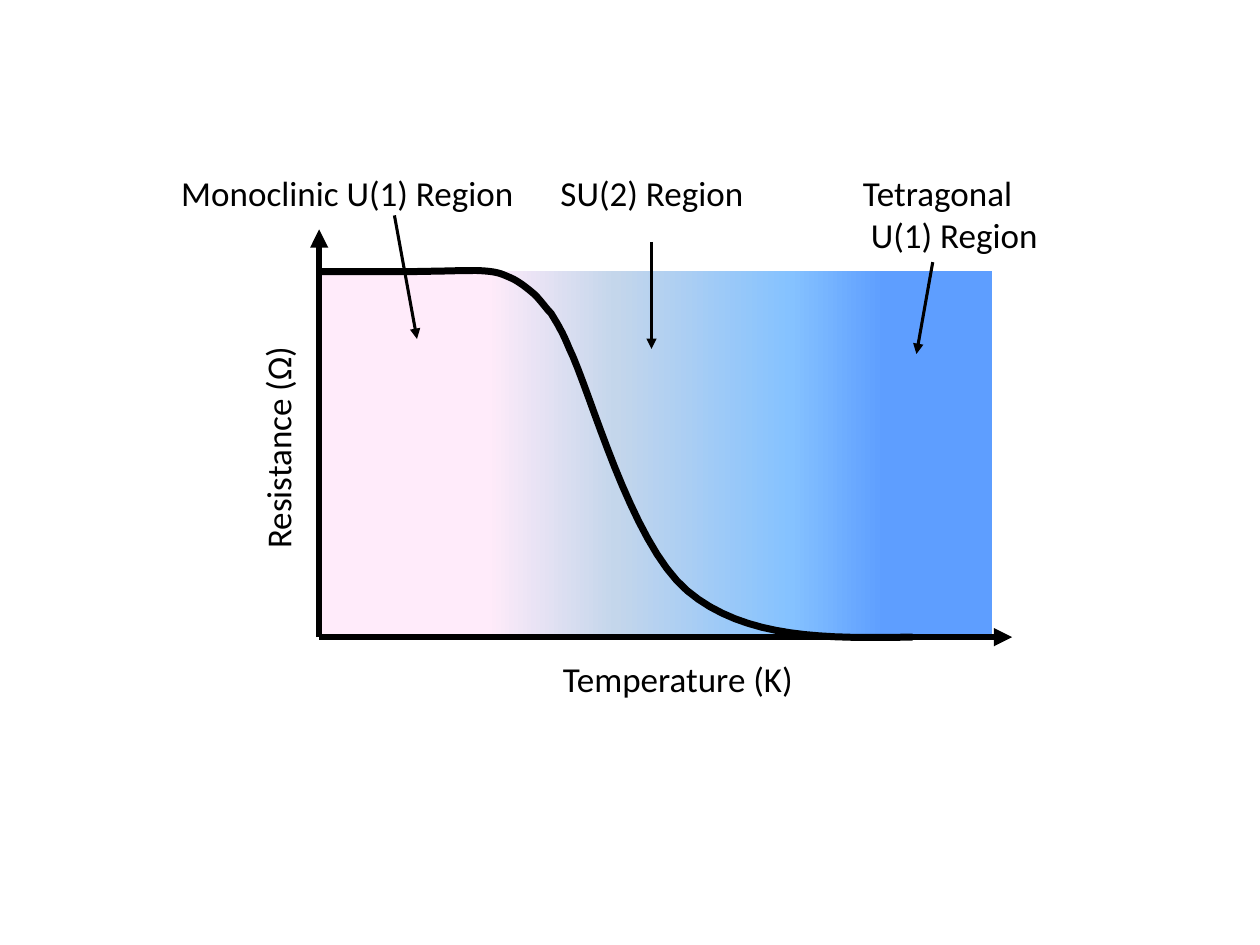
from lxml import etree
from pptx import Presentation
from pptx.dml.color import RGBColor
from pptx.enum.shapes import MSO_CONNECTOR, MSO_SHAPE
from pptx.enum.text import MSO_AUTO_SIZE
from pptx.oxml.ns import qn
from pptx.util import Pt

STRAIGHT = MSO_CONNECTOR.STRAIGHT
RECTANGLE = MSO_SHAPE.RECTANGLE
FIT_SHAPE = MSO_AUTO_SIZE.SHAPE_TO_FIT_TEXT

COLORS = {
    "ink": "000000",
    "monoclinic": "FFEBFA",
    "mixed": "C4D6EB",
    "sky": "85C2FF",
    "tetragonal": "5E9EFF",
}
STOPS = [(25, "monoclinic"), (44, "mixed"), (70, "sky"), (84, "tetragonal")]
FONT = {"name": "Calibri", "size": Pt(20)}
PLOT = (182.4, 154.6, 384.5, 209.5)
CURVE = [
    [(44.6, 0.7), (59, 0.7), (79.2, 0), (90, 0)],
    [(90, 0), (100.8, 0.5), (103, 1.4), (108, 3.6)],
    [(108, 3.6), (113.8, 5.8), (118.8, 10.1), (123.1, 13.7)],
    [(123.1, 13.7), (126.7, 17.3), (129.6, 21.6), (132.5, 24.5)],
    [(132.5, 24.5), (134.6, 28.1), (136.1, 30.2), (137.5, 33.1)],
    [(137.5, 33.1), (139.7, 36.7), (142.6, 43.9), (142.6, 43.9)],
    [(142.6, 43.9), (154.8, 68.4), (177.8, 155.5), (210.2, 182.9)],
    [(210.2, 182.9), (243.4, 211), (290.9, 210.2), (339.1, 209.5)],
]


def rgb(key):
    """Return the named colour."""
    return RGBColor.from_string(COLORS[key])


def set_line(sp, width):
    """Give a shape an ink line of the given width."""
    sp.line.color.rgb = rgb("ink")
    sp.line.width = Pt(width)


def add_arrow(s, start, end, width):
    """Draw a straight arrow from start to end."""
    sp = s.shapes.add_connector(STRAIGHT, *map(Pt, start + end))
    set_line(sp, width)
    etree.SubElement(sp.line._get_or_add_ln(), qn("a:tailEnd"), type="triangle")
    etree.SubElement(sp._element.spPr, qn("a:effectLst"))


def add_label(s, lines, x, y, w, h, rotation=0):
    """Place a text box with one paragraph per line."""
    sp = s.shapes.add_textbox(*map(Pt, (x, y, w, h)))
    sp.rotation = rotation
    tf = sp.text_frame
    tf.word_wrap = True
    tf.auto_size = FIT_SHAPE
    for i, line in enumerate(lines):
        p = tf.add_paragraph() if i else tf.paragraphs[0]
        r = p.add_run()
        r.text = line
        for name, value in FONT.items():
            setattr(r.font, name, value)
        r.font.color.rgb = rgb("ink")


def add_background(s, x, y, w, h):
    """Fill the plot box with the phase gradient."""
    sp = s.shapes.add_shape(RECTANGLE, *map(Pt, (x, y, w, h)))
    sp.shadow.inherit = False
    sp.line.fill.background()
    sp.fill.gradient()
    sp.fill.gradient_angle = 0
    stops = sp._element.spPr.find(qn("a:gradFill")).find(qn("a:gsLst"))
    for stop in list(stops):
        stops.remove(stop)
    for percent, key in STOPS:
        stop = etree.SubElement(stops, qn("a:gs"), pos=str(percent * 1000))
        etree.SubElement(stop, qn("a:srgbClr"), val=COLORS[key])


def bezier(points, steps=16):
    """Return points along a cubic Bezier segment after its start."""
    weights = [((1 - t) ** 3, 3 * t * (1 - t) ** 2, 3 * t * t * (1 - t), t ** 3)
               for t in (i / steps for i in range(1, steps + 1))]
    return [tuple(sum(k * pt[axis] for k, pt in zip(ws, points)) for axis in (0, 1))
            for ws in weights]


def add_curve(s, x, y):
    """Draw the resistance curve from the top left corner of the plot."""
    points = [CURVE[0][0]] + [pt for segment in CURVE for pt in bezier(segment)]
    builder = s.shapes.build_freeform(Pt(x), Pt(y + 0.7))
    builder.add_line_segments([(Pt(x + dx), Pt(y + dy)) for dx, dy in points], close=False)
    sp = builder.convert_to_shape()
    sp.shadow.inherit = False
    sp.fill.background()
    set_line(sp, 4)


def add_plot(s, x, y, w, h):
    """Draw the background, curve, axes and axis titles in a box."""
    add_background(s, x, y, w, h)
    add_curve(s, x, y)
    origin = (x, y + h)
    add_arrow(s, origin, (x, y - 23.5), 3.5)
    add_arrow(s, origin, (x + w + 11.5, y + h), 3.5)
    add_label(s, ["Resistance (Ω)"], x - 91.7, y + 82.3, 136, 31.5, 270)
    add_label(s, ["Temperature (K)"], x + 132.2, y + h + 8.2, 169, 31.5)


def add_regions(s, x, y):
    """Place the region labels and their pointers relative to the plot corner."""
    top = y - 60.3
    regions = [
        (["Tetragonal", " U(1) Region"], 303.6, 184.5, 55.7, (350.6, -4.8), (341.3, 47.7)),
        (["SU(2) Region"], 130.8, 144, 31.5, (189.9, -16.4), (189.9, 44.8)),
        (["Monoclinic U(1) Region"], -85.9, 232.5, 31.5, (43, -31.5), (55.9, 39.1)),
    ]
    for lines, dx, w, h, start, end in regions:
        add_label(s, lines, x + dx, top, w, h)
        add_arrow(s, (x + start[0], y + start[1]), (x + end[0], y + end[1]), 1.75)


def main():
    """Build the slide and save it."""
    prs = Presentation()
    prs.slide_width, prs.slide_height = Pt(720), Pt(540)
    s = prs.slides.add_slide(prs.slide_layouts[6])
    add_plot(s, *PLOT)
    add_regions(s, *PLOT[:2])
    prs.save("out.pptx")


main()
